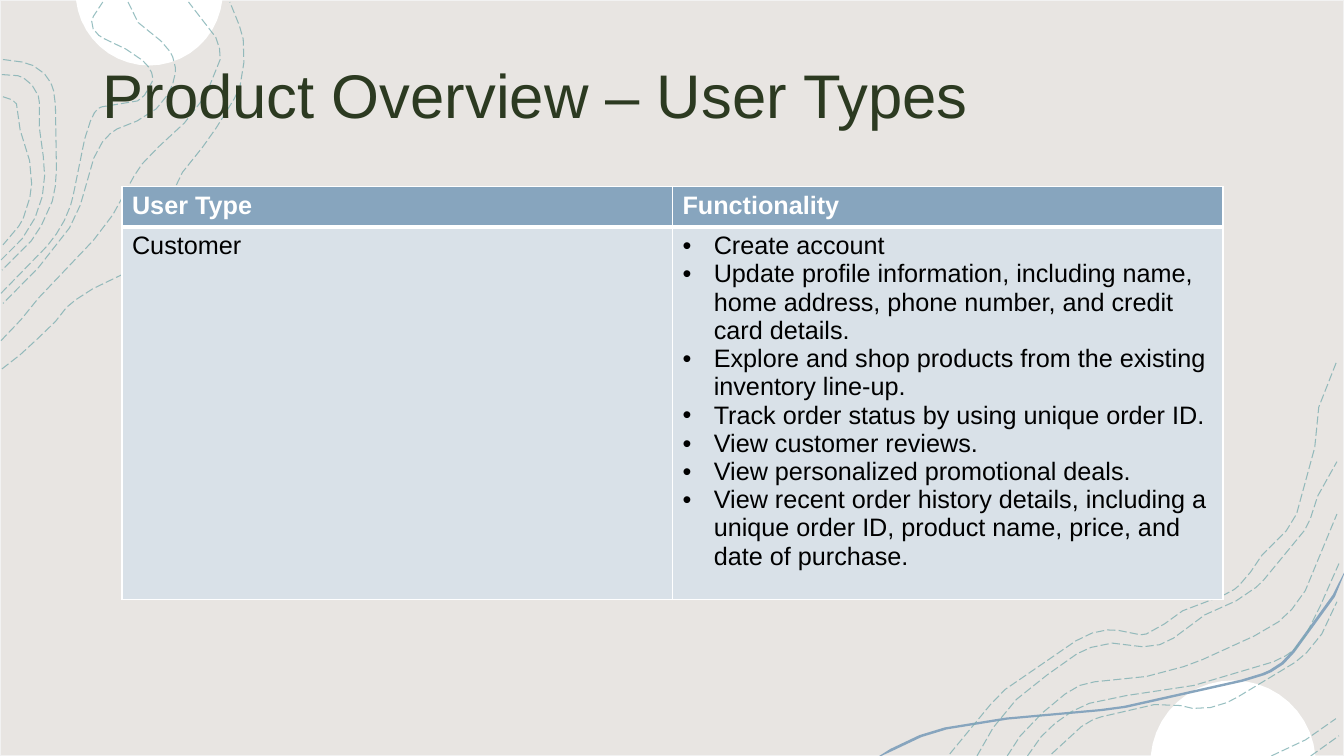
import math
from lxml import etree
from pptx import Presentation, util as u
from pptx.dml.color import RGBColor
from pptx.enum import dml, shapes, text
from pptx.oxml import ns

COLS, ROWS = 1333, 750
CELL = u.Inches(0.01)
FONT = "Arial"
SAND = RGBColor(0xE8, 0xE5, 0xE2)
EDGE = RGBColor(0xF2, 0xF2, 0xF2)
WHITE = RGBColor(0xFF, 0xFF, 0xFF)
BLACK = RGBColor(0, 0, 0)
BLUE = RGBColor(0x87, 0xA5, 0xBE)
PALE = RGBColor(0xD9, 0xE1, 0xE8)
TEAL = RGBColor(0x77, 0xAB, 0xAE)
GREEN = RGBColor(0x2C, 0x3A, 0x21)

MOONS = [(148, -8, 73, 6, 174), (1223, 757, 82, 185, 355)]
RIBBON = [872, 750, 883, 743, 924, 725, 981, 714, 1048, 707, 1104, 702,
          1143, 694, 1190, 683, 1243, 671, 1271, 657, 1291, 633, 1304, 615,
          1322, 590, 1331, 572, 1333, 568]
LEFT = [
    [2, 366, 20, 352, 55, 319, 66, 305, 86, 290, 111, 277, 127, 269, 141, 254,
     160, 223, 167, 203, 181, 171, 201, 146, 219, 120, 236, 91, 241, 71,
     242, 53, 240, 33, 228, 2],
    [1, 338, 21, 317, 38, 296, 50, 284, 73, 260, 88, 244, 108, 219, 122, 196,
     137, 168, 154, 149, 167, 137, 183, 122, 198, 103, 206, 91, 217, 63,
     218, 56, 214, 37, 187, 2],
    [127, 2, 135, 19, 141, 26, 165, 46, 174, 67, 169, 89, 155, 108, 136, 120,
     116, 128, 104, 138, 95, 152, 88, 173, 84, 189, 78, 208, 69, 226,
     60, 238, 42, 261, 28, 276, 15, 288, 3, 301],
    [1, 291, 35, 257, 56, 232, 70, 204, 78, 165, 84, 138, 92, 115, 101, 106,
     124, 103, 140, 98, 151, 81, 149, 69, 138, 57, 120, 46, 98, 35, 91, 21,
     102, 2],
    [3, 59, 28, 63, 44, 73, 52, 86, 55, 104, 55, 132, 56, 168, 54, 190,
     48, 210, 31, 239, 2, 268],
    [2, 74, 23, 77, 38, 95, 39, 126, 43, 155, 44, 181, 38, 209, 22, 237, 1, 258],
    [3, 96, 15, 101, 18, 112, 20, 129, 28, 154, 30, 165, 31, 189, 23, 217,
     14, 230, 3, 243],
]
RIGHT = [
    [942, 748, 949, 739, 971, 713, 986, 695, 1002, 680, 1032, 660, 1056, 643,
     1078, 630, 1098, 625, 1113, 626, 1126, 629, 1137, 629, 1155, 619,
     1173, 606, 1200, 596, 1224, 585, 1240, 568, 1249, 554, 1261, 541,
     1272, 531, 1279, 522, 1286, 510, 1291, 493, 1292, 485, 1304, 444,
     1308, 404, 1326, 358],
    [969, 750, 985, 722, 1008, 694, 1029, 677, 1049, 662, 1075, 645, 1103, 638,
     1122, 641, 1145, 641, 1164, 633, 1175, 624, 1195, 610, 1218, 600,
     1233, 592, 1250, 579, 1263, 563, 1276, 548, 1294, 526, 1301, 511,
     1307, 492, 1326, 458],
    [1300, 750, 1328, 730],
    [1261, 750, 1295, 734, 1325, 713],
    [1043, 748, 1063, 729, 1084, 714, 1119, 705, 1145, 699, 1171, 700,
     1188, 703, 1217, 697, 1264, 669, 1290, 653, 1311, 629, 1326, 597],
    [1019, 750, 1039, 724, 1072, 701, 1107, 692, 1149, 685, 1184, 680,
     1215, 671, 1252, 660, 1271, 653, 1288, 640, 1303, 615, 1328, 559],
    [999, 750, 1012, 730, 1042, 700, 1071, 680, 1100, 675, 1125, 672,
     1143, 670, 1184, 658, 1216, 643, 1244, 631, 1268, 617, 1285, 600,
     1299, 577, 1326, 510],
]
TITLE = "Product Overview – User Types"
HEADS = ["User Type", "Functionality"]
USER = "Customer"
TASKS = [
    "Create account",
    "Update profile information, including name, home address, phone number, "
    "and credit card details.",
    "Explore and shop products from the existing inventory line-up.",
    "Track order status by using unique order ID.",
    "View customer reviews.",
    "View personalized promotional deals.",
    "View recent order history details, including a unique order ID, "
    "product name, price, and date of purchase.",
]


def span(*cells):
    """Turn grid cells into lengths."""
    return [round(c * CELL) for c in cells]


def thin(run, slack=0.8):
    """Drop the points that lie close to a straight stretch."""
    (x, y), (v, w) = run[0], run[-1]
    size = math.hypot(v - x, w - y)
    gaps = [abs((v - x) * (q - y) - (w - y) * (p - x)) / size for p, q in run]
    far = max(gaps)
    if far <= slack:
        return [run[0], run[-1]]
    mid = gaps.index(far)
    return thin(run[:mid + 1], slack)[:-1] + thin(run[mid:], slack)


def smooth(flat, steps=4):
    """Return a smooth run of points through the given x, y pairs."""
    pts = list(zip(flat[::2], flat[1::2]))
    ends = [pts[0]] + pts + [pts[-1]]
    run = [pts[0]]
    for a, b, c, d in zip(ends, ends[1:], ends[2:], ends[3:]):
        for t in (k / steps for k in range(1, steps + 1)):
            run.append(tuple(
                q + t * (r - p) / 2 + t * t * (2 * p - 5 * q + 4 * r - s) / 2
                + t ** 3 * (3 * q - p - 3 * r + s) / 2
                for p, q, r, s in zip(a, b, c, d)))
    return thin(run)


def trace(home, pts, close):
    """Draw an outline through points of the grid."""
    pts = [span(*p) for p in pts]
    pen = home.build_freeform(*pts[0])
    pen.add_line_segments(pts[1:], close=close)
    form = pen.convert_to_shape()
    form.shadow.inherit = False
    return form


def paint(form, fill):
    """Fill a shape and drop its line."""
    form.fill.solid()
    form.fill.fore_color.rgb = fill
    form.line.fill.background()


def moon(home, x, y, r, start, end, steps=20):
    """Draw the part of a disc that lies on the slide."""
    arc = [math.radians(start + (end - start) * k / steps)
           for k in range(steps + 1)]
    pts = [(x + r * math.cos(a), max(0, y + r * math.sin(a))) for a in arc]
    paint(trace(home, pts, True), WHITE)


def ribbon(home, flat):
    """Draw a thin filled band along a curve."""
    top = smooth(flat)
    low = [(min(x + 2, COLS), min(y + 2, ROWS)) for x, y in top]
    paint(trace(home, top + low[::-1], True), BLUE)


def waves(home, curves):
    """Draw a group of dashed contour lines."""
    group = home.add_group_shape().shapes
    for flat in curves:
        form = trace(group, smooth(flat), False)
        form.fill.background()
        form.line.color.rgb = TEAL
        form.line.width = u.Pt(0.75)
        form.line.dash_style = dml.MSO_LINE.LONG_DASH
        tint = form.line._ln.find(".//" + ns.qn("a:srgbClr"))
        etree.SubElement(tint, ns.qn("a:alpha"), val="75000")


def style(frame, size, color, bold=False):
    """Format all runs of a text frame."""
    for par in frame.paragraphs:
        for run in par.runs:
            run.font.name, run.font.size = FONT, u.Pt(size)
            run.font.bold, run.font.color.rgb = bold, color


def edges(cell, top, low):
    """Give a cell white borders."""
    for side, width in zip("LRTB", (1, 1, top, low)):
        line = etree.SubElement(cell._tc.get_or_add_tcPr(), ns.qn("a:ln" + side),
                                w=str(u.Pt(width)))
        fill = etree.SubElement(line, ns.qn("a:solidFill"))
        etree.SubElement(fill, ns.qn("a:srgbClr"), val=str(WHITE))


def bullet(par):
    """Give a paragraph a hanging bullet."""
    props = par._p.get_or_add_pPr()
    indent = span(31)[0]
    props.set("marL", str(indent))
    props.set("indent", str(-indent))
    etree.SubElement(props, ns.qn("a:buFont"), typeface=FONT)
    etree.SubElement(props, ns.qn("a:buChar"), char="•")


def title(home):
    """Add the heading."""
    box = home.add_textbox(*span(92, 40, 1150, 115))
    frame = box.text_frame
    frame.word_wrap = True
    frame.vertical_anchor = text.MSO_ANCHOR.MIDDLE
    frame.text = TITLE
    frame.paragraphs[0].line_spacing = 0.9
    style(frame, 44, GREEN)


def users(home):
    """Add the table of user types."""
    grid = home.add_table(2, 2, *span(121, 185, 1092, 384)).table
    for row, high in zip(grid.rows, span(37, 347)):
        row.height = high
    looks = [(HEADS, BLUE, WHITE, True, 1, 3),
             ([USER, "\n".join(TASKS)], PALE, BLACK, False, 3, 1)]
    for r, (words, fill, ink, bold, top, low) in enumerate(looks):
        for c, word in enumerate(words):
            cell = grid.cell(r, c)
            cell.text_frame.text = word
            style(cell.text_frame, 18, ink, bold)
            edges(cell, top, low)
            cell.fill.solid()
            cell.fill.fore_color.rgb = fill
    for par in grid.cell(1, 1).text_frame.paragraphs:
        bullet(par)


def main():
    """Build the slide and save it."""
    deck = Presentation()
    deck.slide_width, deck.slide_height = span(COLS, ROWS)
    home = deck.slides.add_slide(deck.slide_layouts[6]).shapes
    back = home.add_shape(shapes.MSO_SHAPE.RECTANGLE, *span(0, 0, COLS, ROWS))
    back.shadow.inherit = False
    paint(back, SAND)
    back.line.color.rgb = EDGE
    back.line.width = u.Pt(1)
    for disc in MOONS:
        moon(home, *disc)
    ribbon(home, RIBBON)
    waves(home, LEFT)
    waves(home, RIGHT)
    title(home)
    users(home)
    deck.save("out.pptx")


main()
